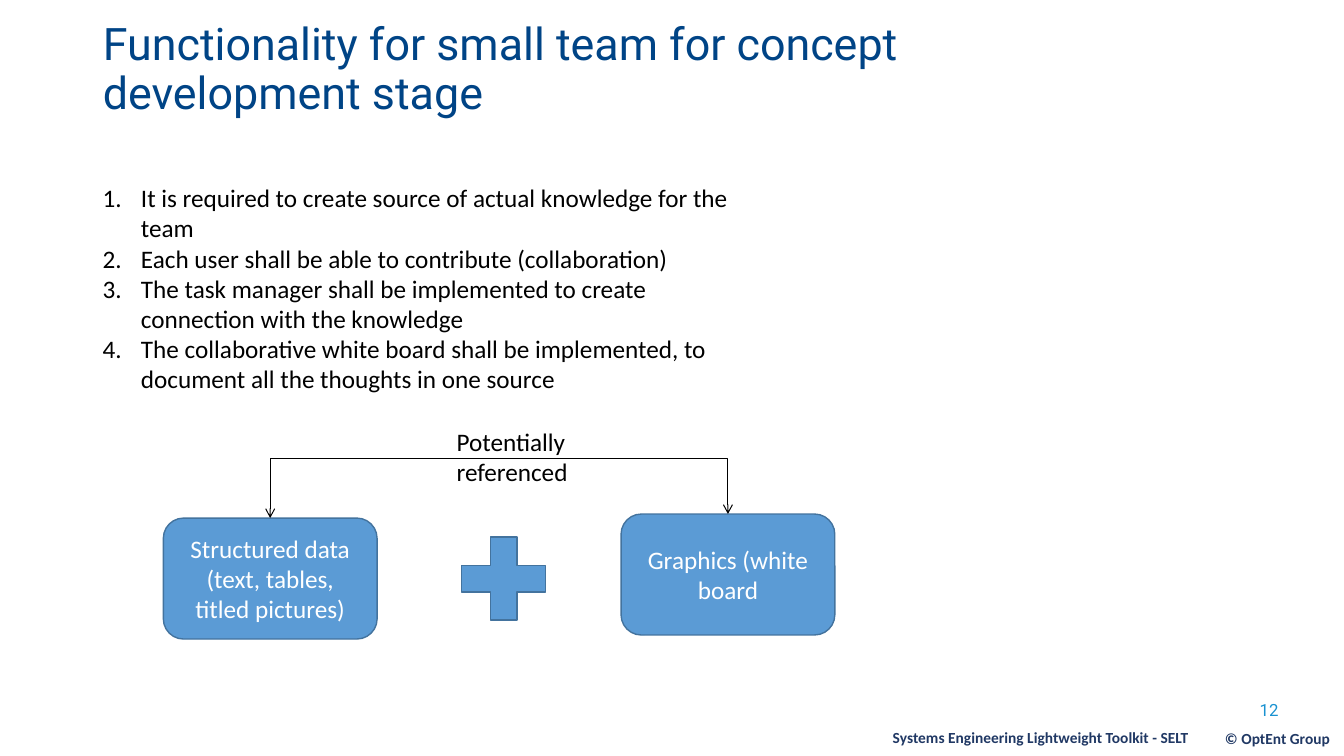
from dataclasses import dataclass

from lxml import etree
from pptx import Presentation
from pptx.dml.color import RGBColor
from pptx.enum.shapes import MSO_CONNECTOR, MSO_SHAPE
from pptx.enum.text import MSO_ANCHOR, PP_ALIGN
from pptx.oxml.ns import qn
from pptx.util import Inches, Pt

ELBOW = MSO_CONNECTOR.ELBOW
ROUND, PLUS = MSO_SHAPE.ROUNDED_RECTANGLE, MSO_SHAPE.MATH_PLUS
TOP, MIDDLE = MSO_ANCHOR.TOP, MSO_ANCHOR.MIDDLE
LEFT, CENTER, RIGHT = PP_ALIGN.LEFT, PP_ALIGN.CENTER, PP_ALIGN.RIGHT


@dataclass(frozen=True)
class Theme:
    body: str = "Calibri"
    head: str = "Roboto"
    title: str = "004486"
    page: str = "1992D1"
    foot: str = "203864"
    fill: str = "5B9BD5"
    edge: str = "43739E"
    ink: str = "000000"
    paper: str = "FFFFFF"
    title_size: int = 32
    body_size: int = 18
    page_size: int = 12
    foot_size: int = 11


THEME = Theme()


def color(code):
    return RGBColor.from_string(code)


def place(shape, box):
    shape.left, shape.top, shape.width, shape.height = map(Inches, box)


def number(para, indent):
    props = para._p.get_or_add_pPr()
    props.set("marL", str(Inches(indent)))
    props.set("indent", str(-Inches(indent)))
    etree.SubElement(props, qn("a:buFont"), typeface="+mj-lt")
    etree.SubElement(props, qn("a:buAutoNum"), type="arabicPeriod")


def write(shape, *lines, size=THEME.body_size, face=THEME.body, ink=THEME.ink,
          bold=False, align=LEFT, anchor=TOP, space=None, indent=None):
    frame = shape.text_frame
    frame.word_wrap = True
    frame.vertical_anchor = anchor
    for i, line in enumerate(lines):
        para = frame.add_paragraph() if i else frame.paragraphs[0]
        para.alignment = align
        if space:
            para.line_spacing = space
        if indent:
            number(para, indent)
        run = para.add_run()
        run.text = line
        font = run.font
        font.name, font.size, font.bold = face, Pt(size), bold
        font.color.rgb = color(ink)


def label(slide, box, *lines, **style):
    write(slide.shapes.add_textbox(*map(Inches, box)), *lines, **style)


def block(slide, kind, box, text=None):
    shape = slide.shapes.add_shape(kind, *map(Inches, box))
    shape.shadow.inherit = False
    shape.fill.solid()
    shape.fill.fore_color.rgb = color(THEME.fill)
    shape.line.color.rgb = color(THEME.edge)
    shape.line.width = Pt(1)
    if text:
        write(shape, text, ink=THEME.paper, align=CENTER, anchor=MIDDLE)


def bridge(slide, start, end, rise):
    (x1, y1), (x2, y2) = start, end
    mid_x, mid_y = (x1 + x2) / 2, (y1 + y2) / 2
    drop, span = y1 - y2, x2 - x1
    ends = (mid_x + drop / 2, mid_y + span / 2,
            mid_x - drop / 2, mid_y - span / 2)
    link = slide.shapes.add_connector(ELBOW, *map(Inches, ends))
    link.line.color.rgb = color(THEME.ink)
    link.line.width = Pt(0.75)
    props = link._element.spPr
    props.find(qn("a:xfrm")).set("rot", str(90 * 60000))
    guides = props.find(qn("a:prstGeom")).get_or_add_avLst()
    etree.SubElement(guides, qn("a:gd"), name="adj1",
                     fmla=f"val {round(rise / drop * 100000)}")
    line = link.line._get_or_add_ln()
    for tag in ("a:headEnd", "a:tailEnd"):
        etree.SubElement(line, qn(tag), type="arrow")
    etree.SubElement(props, qn("a:effectLst"))


def heading(slide, box):
    title = slide.shapes.title
    place(title, box)
    write(title, "Functionality for small team for concept development stage",
          size=THEME.title_size, face=THEME.head, ink=THEME.title,
          anchor=MIDDLE, space=0.9)


def needs(slide, box):
    label(slide, box,
          "It is required to create source of actual knowledge for the team",
          "Each user shall be able to contribute (collaboration)",
          "The task manager shall be implemented to create connection with the knowledge",
          "The collaborative white board shall be implemented, to document all the thoughts in one source",
          indent=0.38)


def diagram(slide, box):
    x, y, w, h = box
    wide, high, drop = 2.12, 1.2, 0.04
    low, top = y + h - high, y + h - high - drop
    far = x + w - wide
    block(slide, ROUND, (x, low, wide, high),
          "Structured data (text, tables, titled pictures)")
    block(slide, PLUS, (x + 2.81, low + drop, 1.13, 1.12))
    block(slide, ROUND, (far, top, wide, high), "Graphics (white board")
    bridge(slide, (x + wide / 2, low), (far + wide / 2, top), 0.59)
    label(slide, (x + 2.81, y, 2.39, 0.71), "Potentially referenced")


def footer(slide, box):
    x, y, w, h = box
    style = dict(size=THEME.foot_size, ink=THEME.foot, bold=True, align=RIGHT)
    label(slide, (x, y + 0.28, 10.61, 0.29),
          "Systems Engineering Lightweight Toolkit - SELT", **style)
    label(slide, (x + w - 1.28, y + 0.29, 1.28, 0.29), "© OptEnt Group", **style)
    label(slide, (x + 10.63, y, 0.87, 0.39), "12", size=THEME.page_size,
          face=THEME.head, ink=THEME.page, align=RIGHT)


def main():
    deck = Presentation()
    deck.slide_width, deck.slide_height = Inches(13.33), Inches(7.5)
    slide = deck.slides.add_slide(deck.slide_layouts[5])
    footer(slide, (1.28, 6.89, 12.01, 0.58))
    heading(slide, (0.92, 0.16, 9, 1.08))
    needs(slide, (0.92, 1.76, 6.63, 2.52))
    diagram(slide, (1.62, 4.18, 6.66, 2.16))
    deck.save("out.pptx")


if __name__ == "__main__":
    main()
